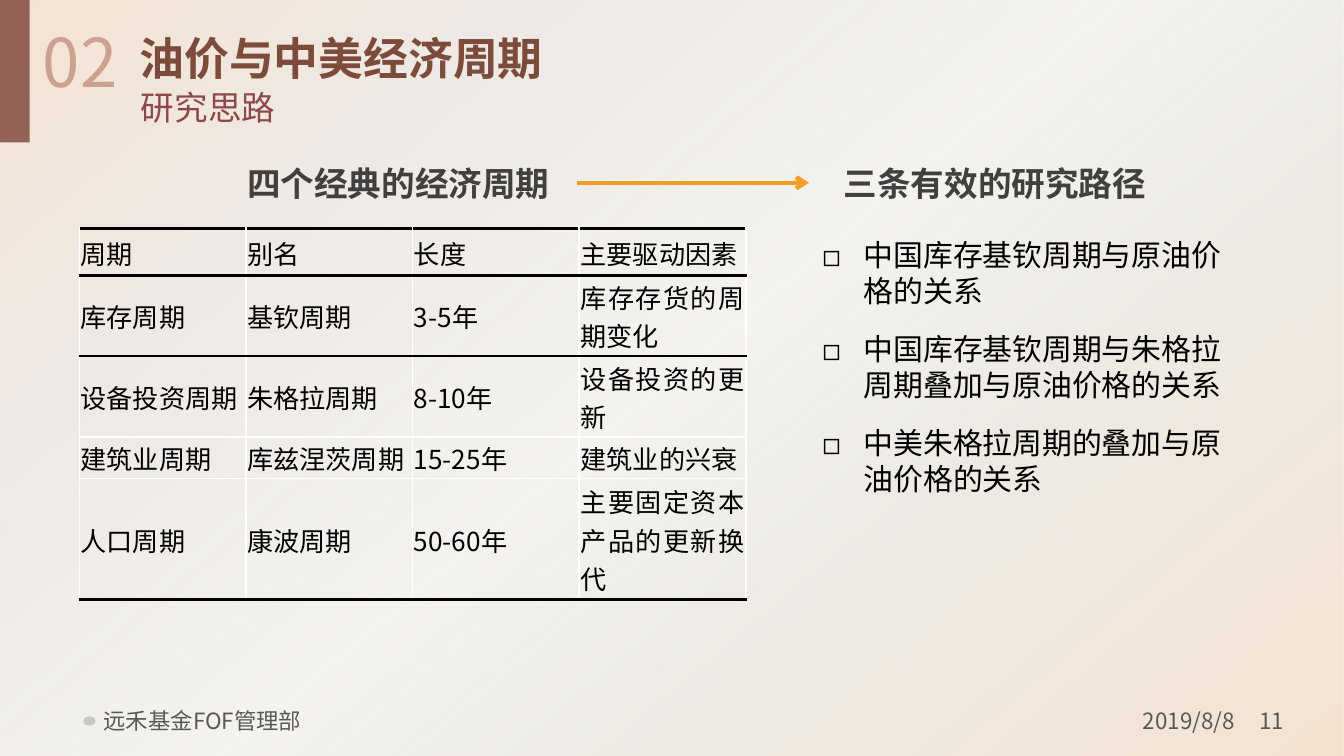
from lxml import etree
from pptx import Presentation
from pptx import util as u
from pptx.dml.color import RGBColor
from pptx.enum import shapes, text
from pptx.oxml import ns

FONT = "Noto Sans CJK SC"
ALIGN, ANCHOR = text.PP_ALIGN, text.MSO_ANCHOR
SHAPE = shapes.MSO_SHAPE
WIDE = 10
HIGH = WIDE * 9 / 16

# Content: text, box, format
HEADS = [
    ("油价与中美经济周期", (0.94, 0.18, 3.62, 0.55),
     dict(size=24, color="7C4B3B", bold=True)),
    ("02", (0.22, 0.1, 0.79, 0.71), dict(size=36, color="CCA192")),
    ("研究思路", (0.95, 0.6, 1.21, 0.4),
     dict(size=18, color="8D4949", wrap=False)),
    ("四个经典的经济周期", (1.74, 1.16, 2.47, 0.4),
     dict(size=18, color="404040", bold=True, wrap=False)),
    ("三条有效的研究路径", (6.18, 1.16, 2.47, 0.4),
     dict(size=18, color="404040", bold=True, wrap=False)),
]
FOOT = [
    ("2019/8/8", (6.96, 5.21, 2.28, 0.3),
     dict(align=ALIGN.RIGHT, pads=(0.1, 0.05, 0.05, 0.05))),
    ("远禾基金FOF管理部", (0.72, 5.21, 3.11, 0.3),
     dict(pads=(0.05, 0.05, 0.1, 0.05))),
    ("11", (9.34, 5.21, 0.61, 0.3), dict(pads=(0.03, 0.05, 0.05, 0.05))),
]
PATHS = [
    "中国库存基钦周期与原油价格的关系",
    "中国库存基钦周期与朱格拉周期叠加与原油价格的关系",
    "中美朱格拉周期的叠加与原油价格的关系",
]
CYCLES = [
    ("周期", "别名", "长度", "主要驱动因素"),
    ("库存周期", "基钦周期", "3-5年", "库存存货的周期变化"),
    ("设备投资周期", "朱格拉周期", "8-10年", "设备投资的更新"),
    ("建筑业周期", "库兹涅茨周期", "15-25年", "建筑业的兴衰"),
    ("人口周期", "康波周期", "50-60年", "主要固定资本产品的更新换代"),
]
ROWS = [0.35, 0.6, 0.6, 0.31, 0.9]
RULES = {0, 1, 2, 5}  # black horizontal rules, counted from the top edge
STOPS = [(0, "F5E3D1", 100), (23, "EEE9E5", 100), (50, "ECEAE3", 56),
         (69, "EDEAE4", 100), (99, "F5E3D1", 100)]


def rgb(code):
    return RGBColor.from_string(code)


def inch(nums):
    return [u.Inches(n) for n in nums]


def node(up, tag, **attrs):
    item = etree.SubElement(up, ns.qn("a:" + tag))
    for key, val in attrs.items():
        item.set(key, str(val))
    return item


def write(frame, lines, size=12, color="000000", bold=False, align=ALIGN.LEFT,
          before=0, after=0, bullet=None, hang=0):
    for i, line in enumerate(lines):
        para = frame.paragraphs[0] if i == 0 else frame.add_paragraph()
        para.alignment = align
        para.space_before, para.space_after = u.Pt(before), u.Pt(after)
        run = para.add_run()
        run.text = line
        run.font.size, run.font.bold = u.Pt(size), bold
        run.font.name, run.font.color.rgb = FONT, rgb(color)
        node(run.font._element, "ea", typeface=FONT)
        if bullet:
            props = para._p.get_or_add_pPr()
            props.set("marL", str(u.Inches(hang)))
            props.set("indent", str(-u.Inches(hang)))
            node(props, "buFont", typeface=FONT)
            node(props, "buChar", char=bullet)


def box(lines, place, wrap=True, anchor=ANCHOR.TOP,
        pads=(0.1, 0.05, 0.1, 0.05), **form):
    frame = slide.shapes.add_textbox(*inch(place)).text_frame
    frame.word_wrap, frame.vertical_anchor = wrap, anchor
    (frame.margin_left, frame.margin_top,
     frame.margin_right, frame.margin_bottom) = inch(pads)
    write(frame, lines, **form)


def block(kind, place, color):
    form = slide.shapes.add_shape(kind, *inch(place))
    form.shadow.inherit = False
    form.line.fill.background()
    form.fill.solid()
    form.fill.fore_color.rgb = rgb(color)
    return form


def edge(cell, side, color, width):
    line = node(cell._tc.get_or_add_tcPr(), side, w=u.Pt(width))
    node(node(line, "solidFill"), "srgbClr", val=color)


deck = Presentation()
deck.slide_width, deck.slide_height = inch((WIDE, HIGH))
slide = deck.slides.add_slide(deck.slide_layouts[6])

# Footer dot, under the veil of the backdrop
block(SHAPE.OVAL, (0.62, 5.33, 0.09, 0.07), "808080")

# Backdrop gradient with a translucent middle
back = block(SHAPE.RECTANGLE, (0, 0, WIDE, HIGH), "FFFFFF")
back.fill.gradient()
grad = back._element.spPr.find(ns.qn("a:gradFill"))
for old in list(grad):
    grad.remove(old)
stops = node(grad, "gsLst")
for pos, color, alpha in STOPS:
    tint = node(node(stops, "gs", pos=pos * 1000), "srgbClr", val=color)
    if alpha < 100:
        node(tint, "alpha", val=alpha * 1000)
node(grad, "lin", ang=50 * 60000, scaled=0)

# Corner bar, turned upright
bar = block(SHAPE.RECTANGLE, (-0.45, 0.39, 1.08, 0.26), "926255")
bar.rotation = 90

# Footer and headings
for words, place, form in FOOT:
    box([words], place, anchor=ANCHOR.MIDDLE, color="595959", **form)
for words, place, form in HEADS:
    box([words], place, **form)

# Table of cycles
grid = slide.shapes.add_table(
    len(CYCLES), 4, *inch((0.59, 1.7, 4.96, sum(ROWS)))).table
grid.first_row = grid.horz_banding = False
for col in grid.columns:
    col.width = u.Inches(1.24)
for r, (row, high) in enumerate(zip(CYCLES, ROWS)):
    grid.rows[r].height = u.Inches(high)
    for c, words in enumerate(row):
        cell = grid.cell(r, c)
        (cell.margin_left, cell.margin_top,
         cell.margin_right, cell.margin_bottom) = inch((0.01, 0.01, 0.01, 0))
        cell.vertical_anchor = ANCHOR.MIDDLE
        write(cell.text_frame, [words], size=14, align=ALIGN.JUSTIFY, after=6)
        edge(cell, "lnL", "FFFFFF", 1)
        edge(cell, "lnR", "FFFFFF", 1)
        for side, rule in (("lnT", r), ("lnB", r + 1)):
            edge(cell, side, *(("000000", 1.5) if rule in RULES
                               else ("FFFFFF", 1)))
        cell.fill.background()

# Research paths
box(PATHS, (6.02, 1.71, 3.31, 2.05), size=16, before=6, after=6,
    bullet="◻", hang=0.31)

# Arrow between the two headings
arrow = slide.shapes.add_connector(
    shapes.MSO_CONNECTOR.STRAIGHT, *inch((4.29, 1.36, 6.02, 1.36)))
arrow.line.color.rgb, arrow.line.width = rgb("EF9F28"), u.Pt(2.25)
node(arrow.line._get_or_add_ln(), "tailEnd", type="arrow")
node(arrow._element.spPr, "effectLst")

deck.save("out.pptx")
